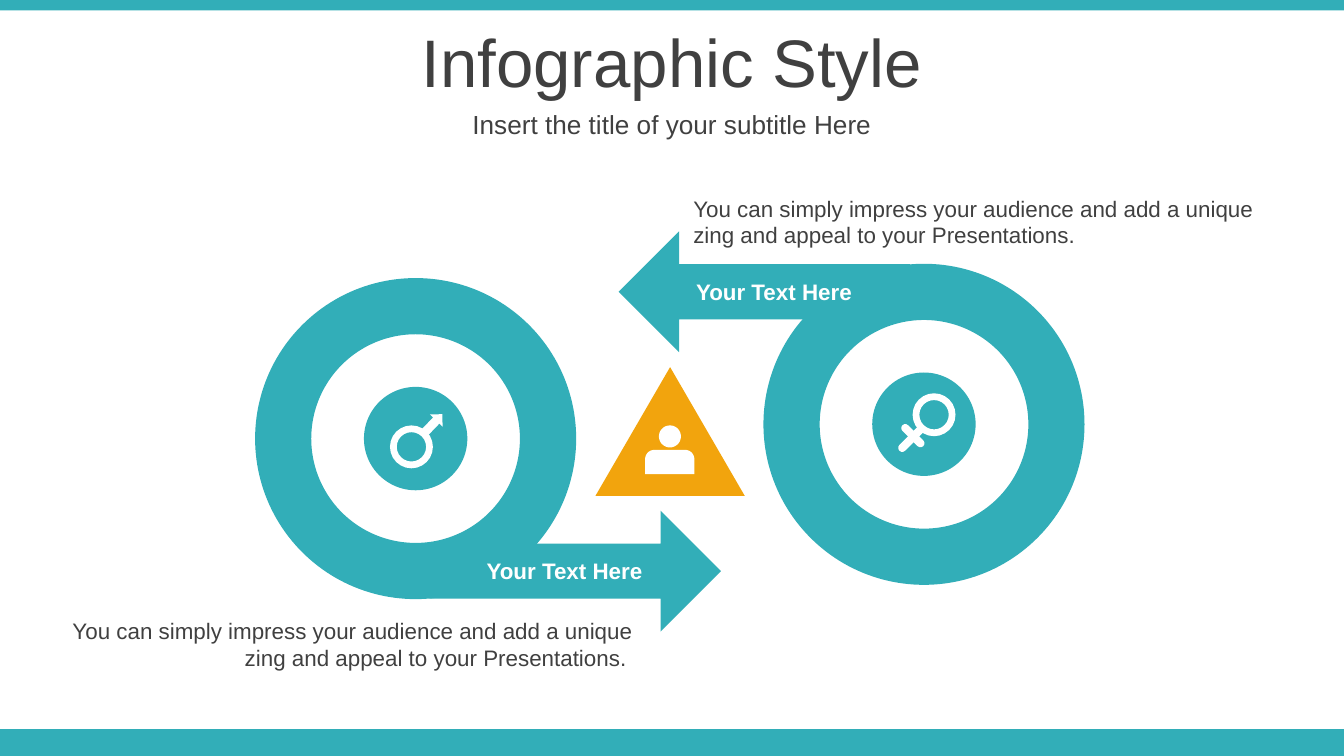
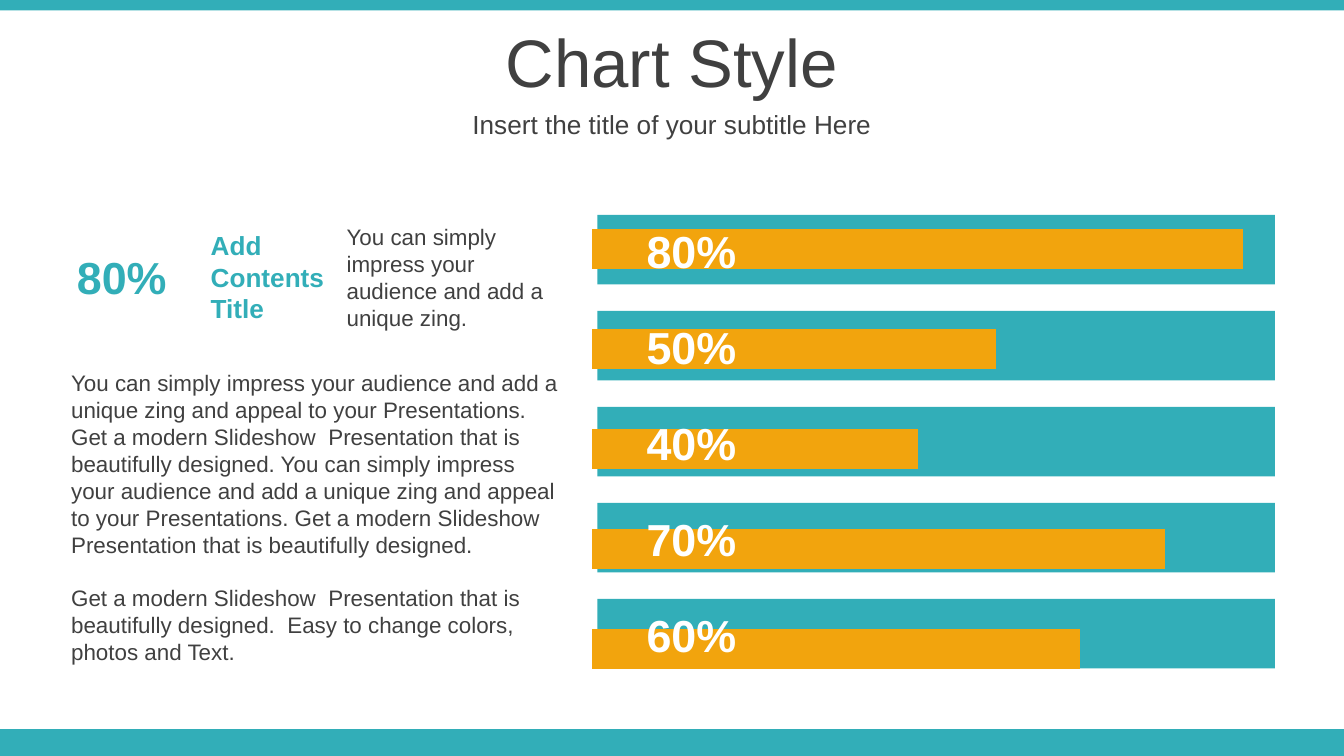
import math
from dataclasses import dataclass

import pptx
import pptx.chart.data
import pptx.dml.color
import pptx.enum.chart
import pptx.enum.shapes
import pptx.enum.text
import pptx.oxml
import pptx.util

Pt = pptx.util.Pt
Kind = pptx.enum.shapes.MSO_SHAPE
Align = pptx.enum.text.PP_ALIGN
Anchor = pptx.enum.text.MSO_ANCHOR
AutoSize = pptx.enum.text.MSO_AUTO_SIZE


@dataclass(frozen=True)
class Theme:
    teal: str = "32AEB8"
    amber: str = "F2A40D"
    ink: str = "404040"
    white: str = "FFFFFF"
    black: str = "000000"
    font: str = "Arial"
    title: int = 36
    figure: int = 24
    chart: int = 18
    heading: int = 14
    body: int = 12
    width: int = 720
    height: int = 405


THEME = Theme()
SUBTITLE = "Insert the title of your subtitle Here"
PITCH = "You can simply impress your audience and add a unique zing"
APPEAL = PITCH + " and appeal to your Presentations."
MODERN = "Get a modern Slideshow  Presentation that is beautifully designed."


def rgb(colour):
    return pptx.dml.color.RGBColor.from_string(colour)


def write(frame, text, size=THEME.body, color=THEME.ink, bold=False,
          align=Align.LEFT, anchor=Anchor.TOP, grow=True, before=0, gap=0):
    frame.word_wrap = True
    frame.vertical_anchor = anchor
    frame.auto_size = AutoSize.SHAPE_TO_FIT_TEXT if grow else AutoSize.NONE
    for index, line in enumerate(text.split("\n")):
        paragraph = frame.add_paragraph() if index else frame.paragraphs[0]
        paragraph.alignment = align
        paragraph.space_before = Pt(gap if index else before)
        run = paragraph.add_run()
        run.text = line
        run.font.name = THEME.font
        run.font.size = Pt(size)
        run.font.bold = bold
        run.font.color.rgb = rgb(color)


def arc(x, y, radius, start, end, steps=12):
    angles = [math.radians(start + (end - start) * i / steps) for i in range(steps + 1)]
    return [(x + radius * math.cos(a), y + radius * math.sin(a)) for a in angles]


class Deck:
    def __init__(self, theme):
        self.theme = theme
        self.file = pptx.Presentation()
        self.file.slide_width = Pt(theme.width)
        self.file.slide_height = Pt(theme.height)
        self.slide = None

    def new_slide(self, title):
        theme = self.theme
        self.slide = self.file.slides.add_slide(self.file.slide_layouts[6])
        self.shape(Kind.RECTANGLE, 0, 390.6, theme.width, 14.4, theme.teal)
        self.shape(Kind.RECTANGLE, 0, 0, theme.width, 5.6, theme.teal)
        for text, top, height, size in ((title, 10, 45.4, theme.title),
                                        (SUBTITLE, 55.4, 22.3, theme.heading)):
            self.text(text, 0, top, theme.width, height, size=size, align=Align.CENTER,
                      anchor=Anchor.MIDDLE, grow=False, before=round(size * 0.12, 1))

    def paint(self, shape, fill):
        shape.shadow.inherit = False
        shape.fill.solid()
        shape.fill.fore_color.rgb = rgb(fill)
        shape.line.fill.background()

    def shape(self, kind, left, top, width, height, fill, rotation=0, adjust=()):
        shape = self.slide.shapes.add_shape(kind, Pt(left), Pt(top), Pt(width), Pt(height))
        self.paint(shape, fill)
        shape.rotation = rotation
        for index, value in enumerate(adjust):
            shape.adjustments[index] = value

    def centred(self, kind, x, y, width, height, fill, **options):
        self.shape(kind, x - width / 2, y - height / 2, width, height, fill, **options)

    def outline(self, contours, fill):
        points = [[(Pt(x), Pt(y)) for x, y in contour] for contour in contours]
        builder = self.slide.shapes.build_freeform(*points[0][0])
        for index, contour in enumerate(points):
            if index:
                builder.move_to(*contour[0])
            builder.add_line_segments(contour[1:], close=True)
        self.paint(builder.convert_to_shape(), fill)

    def text(self, text, left, top, width, height, **style):
        box = self.slide.shapes.add_textbox(Pt(left), Pt(top), Pt(width), Pt(height))
        write(box.text_frame, text, **style)

    def bar_chart(self, left, top, width, height, values, plot):
        data = pptx.chart.data.CategoryChartData()
        data.categories = [str(i + 1) for i in range(len(values))]
        data.add_series("Series 1", values)
        chart = self.slide.shapes.add_chart(
            pptx.enum.chart.XL_CHART_TYPE.BAR_CLUSTERED,
            Pt(left), Pt(top), Pt(width), Pt(height), data).chart
        chart.has_legend = False
        chart.has_title = False
        chart.font.name = self.theme.font
        chart.font.size = Pt(self.theme.chart)
        chart.font.color.rgb = rgb(self.theme.black)
        for axis in (chart.category_axis, chart.value_axis):
            axis.has_major_gridlines = False
            axis.visible = False
        chart.value_axis.minimum_scale = 0
        chart.value_axis.maximum_scale = 100
        bars = chart.plots[0]
        bars.gap_width = 150
        bars.vary_by_categories = False
        bars.series[0].format.fill.solid()
        bars.series[0].format.fill.fore_color.rgb = rgb(self.theme.amber)
        self.place_plot(chart, plot)

    def place_plot(self, chart, plot):
        area = chart.plots[0]._element.getparent()
        for old in area.xpath("c:layout"):
            area.remove(old)
        sides = "".join(f'<c:{side} val="{value}"/>' for side, value in zip("xywh", plot))
        area.insert(0, pptx.oxml.parse_xml(
            '<c:layout xmlns:c="http://schemas.openxmlformats.org/drawingml/2006/chart">'
            '<c:manualLayout><c:layoutTarget val="inner"/><c:xMode val="edge"/>'
            f'<c:yMode val="edge"/>{sides}</c:manualLayout></c:layout>'))


def infographic(deck):
    theme = deck.theme
    deck.new_slide("Infographic Style")
    for x, y, direction in ((222.7, 235, 1), (495, 227.3, -1)):
        turn = 0 if direction == 1 else 180
        deck.centred(Kind.DONUT, x, y, 172, 172, theme.teal, rotation=turn, adjust=[0.175])
        deck.centred(Kind.RIGHT_ARROW, x + direction * 85.5, y + direction * 71, 156.2, 64.8,
                     theme.teal, rotation=turn, adjust=[0.455, 0.5])
        deck.centred(Kind.OVAL, x, y, 55.4, 55.4, theme.teal)

    deck.shape(Kind.ISOSCELES_TRIANGLE, 319, 196.7, 80, 69, theme.amber)
    shoulders = arc(350.6, 246, 5, 180, 270) + arc(367, 246, 5, 270, 360)
    body = [(345.6, 254)] + shoulders + [(372, 254)]
    deck.outline([body, arc(358.9, 233.8, 5.9, 0, 360, 36)], theme.white)

    for x, y in ((220.4, 239.4), (500.4, 222.2)):
        deck.centred(Kind.DONUT, x, y, 23, 23, theme.white, adjust=[0.158])
    deck.centred(Kind.UP_ARROW, 231.5, 227.6, 9.4, 15.8, theme.white, rotation=43.9)
    for x, y, length, turn in ((488.2, 235.1, 18, 45), (489, 233.4, 15.8, 135)):
        deck.centred(Kind.ROUNDED_RECTANGLE, x, y, 4.3, length, theme.white,
                     rotation=turn, adjust=[0.5])

    deck.text(APPEAL, 364.3, 100.8, 317.5, 36)
    deck.text(APPEAL + " ", 28.8, 327, 317.5, 36, align=Align.RIGHT)
    for left, top, align in ((167, 295.2, Align.RIGHT), (365.8, 145.6, Align.LEFT)):
        deck.text("Your Text Here", left, top, 184.3, 21.6,
                  color=theme.white, bold=True, align=align)


def chart_style(deck):
    theme = deck.theme
    figure = dict(size=theme.figure, bold=True, align=Align.CENTER, anchor=Anchor.MIDDLE)
    shares = ["80%", "50%", "40%", "70%", "60%"]
    row_tops = [115.2 + 51.43 * row for row in range(len(shares))]
    deck.new_slide("Chart Style")
    for top in row_tops:
        deck.shape(Kind.RECTANGLE, 320, top, 363, 37.2, theme.teal)
    deck.bar_chart(309, 101, 410.4, 279.4, [75, 88, 50, 62, 100],
                   plot=(0.02, 0.02, 0.85, 0.96))
    for share, top in zip(shares, row_tops):
        deck.text(share, 336.2, top + 1, 68.4, 36, color=theme.white, **figure)

    deck.text(shares[0], 31, 130.3, 68.4, 36, color=theme.teal, **figure)
    deck.text("Add Contents Title", 105.8, 119.5, 79.2, 58.3,
              size=theme.heading, color=theme.teal, bold=True)
    deck.text(PITCH + ".", 178.6, 116, 130.3, 65.5)
    deck.text(f"{APPEAL} {MODERN} {APPEAL} {MODERN}\n"
              f"{MODERN}  Easy to change colors, photos and Text.",
              31, 194.4, 278, 167, gap=14.4)


def main():
    deck = Deck(THEME)
    infographic(deck)
    chart_style(deck)
    deck.file.save("out.pptx")


if __name__ == "__main__":
    main()
